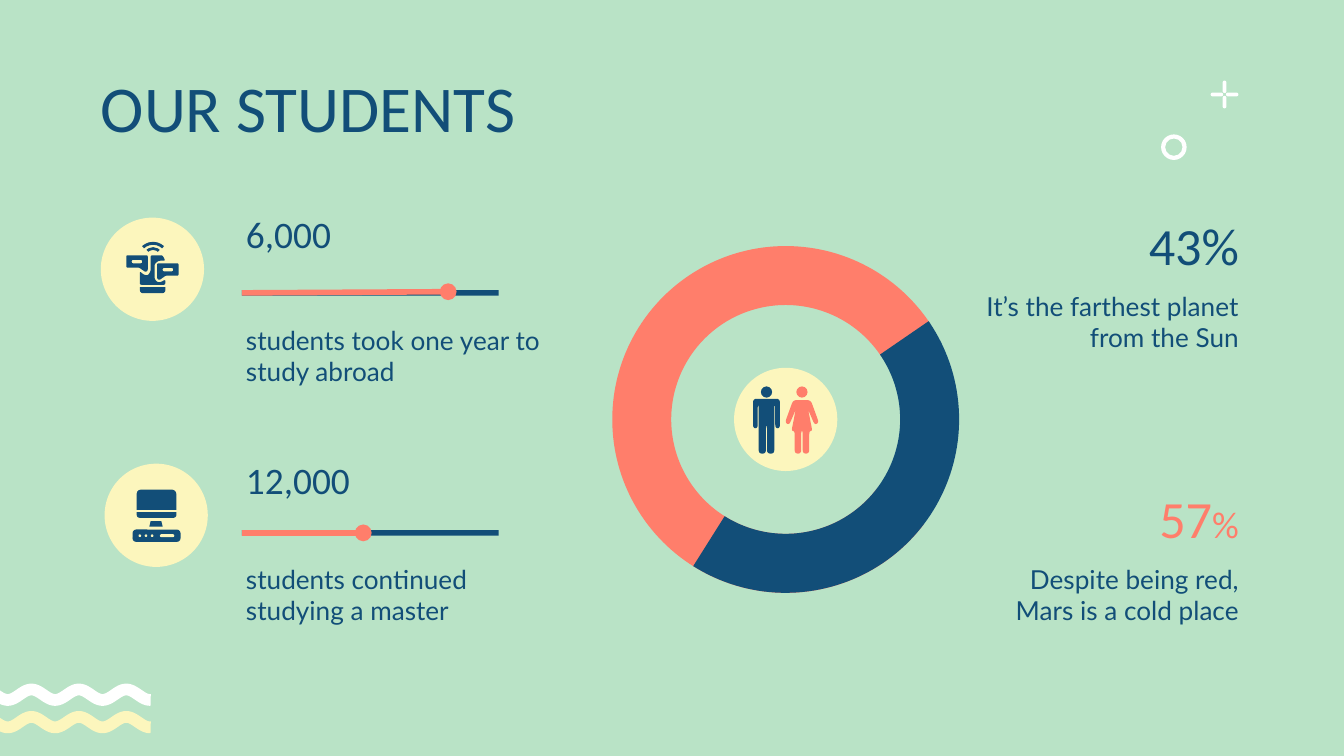
from math import pi, sin

from lxml import etree
from pptx import Presentation
from pptx.dml.color import RGBColor
from pptx.enum.shapes import MSO_CONNECTOR, MSO_SHAPE
from pptx.enum.text import PP_ALIGN
from pptx.oxml.ns import qn
from pptx.util import Pt

ARC, DONUT, OVAL = MSO_SHAPE.BLOCK_ARC, MSO_SHAPE.DONUT, MSO_SHAPE.OVAL
RECT, ROUNDED, TAB = MSO_SHAPE.RECTANGLE, MSO_SHAPE.ROUNDED_RECTANGLE, MSO_SHAPE.ROUND_2_SAME_RECTANGLE
TRAPEZOID = MSO_SHAPE.TRAPEZOID
STRAIGHT = MSO_CONNECTOR.STRAIGHT
LEFT, RIGHT = PP_ALIGN.LEFT, PP_ALIGN.RIGHT

COLORS = {"mint": "B9E3C6", "navy": "124E78", "coral": "FF7E6B", "cream": "FCF6BD", "white": "FFFFFF"}
HEADING, BODY = "Calibri", "Lato"
BADGE = 55.3


def rgb(name):
    """Return the named colour."""
    return RGBColor.from_string(COLORS[name])


def paint(shape, color):
    """Fill a shape flat, without line or shadow."""
    shape.shadow.inherit = False
    shape.fill.solid()
    shape.fill.fore_color.rgb = rgb(color)
    shape.line.fill.background()


def add_part(slide, kind, left, top, width, height, color, adjust=(), turn=0):
    """Add a flat preset shape."""
    part = slide.shapes.add_shape(kind, Pt(left), Pt(top), Pt(width), Pt(height))
    for index, value in enumerate(adjust):
        part.adjustments[index] = value
    part.rotation = turn
    paint(part, color)


def add_arc(slide, left, top, size, start, end, thickness, color, turn=0):
    """Add a ring section between two angles in degrees."""
    add_part(slide, ARC, left, top, size, size, color, (start * 0.6, end * 0.6, thickness), turn)


def soften(corners, radius):
    """Round the corners of a polygon."""
    points = []
    for i, (x, y) in enumerate(corners):
        ends = []
        for nx, ny in (corners[i - 1], corners[(i + 1) % len(corners)]):
            length = ((nx - x) ** 2 + (ny - y) ** 2) ** 0.5
            share = min(radius / length, 0.5)
            ends.append((x + (nx - x) * share, y + (ny - y) * share))
        (ax, ay), (bx, by) = ends
        for t in (0, 0.25, 0.5, 0.75, 1):
            points.append(tuple((1 - t) ** 2 * a + 2 * t * (1 - t) * c + t * t * b
                                for a, c, b in ((ax, x, bx), (ay, y, by))))
    return points


def add_outline(slide, left, top, contours, color, radius):
    """Add one filled outline made of rounded contours."""
    placed = [[(Pt(left + x), Pt(top + y)) for x, y in soften(c, radius)] for c in contours]
    builder = slide.shapes.build_freeform(*placed[0][0])
    builder.add_line_segments(placed[0][1:], close=True)
    for hole in placed[1:]:
        builder.move_to(*hole[0])
        builder.add_line_segments(hole[1:], close=True)
    paint(builder.convert_to_shape(), color)


def add_text(slide, left, top, width, height, runs, font, color="navy", align=LEFT):
    """Add a paragraph from (text, size) runs."""
    frame = slide.shapes.add_textbox(Pt(left), Pt(top), Pt(width), Pt(height)).text_frame
    frame.word_wrap = True
    frame.margin_left = frame.margin_right = frame.margin_top = frame.margin_bottom = 0
    paragraph = frame.paragraphs[0]
    paragraph.alignment = align
    paragraph.font.name = font
    paragraph.font.color.rgb = rgb(color)
    paragraph.font.size = Pt(runs[0][1])
    for words, size in runs:
        run = paragraph.add_run()
        run.text = words
        if size != runs[0][1]:
            run.font.size = Pt(size)


def add_sparkles(slide, left, top):
    """Draw the ring and the plus sign in the corner."""
    add_part(slide, DONUT, left, top + 28.8, 13.7, 13.7, "white", (0.16,))
    for near in (0, 8.2):
        add_part(slide, ROUNDED, left + 33, top + near, 2, 6.7, "white", (0.5,))
        add_part(slide, ROUNDED, left + 26.6 + near, top + 6.4, 6.7, 2, "white", (0.5,))


def add_wave(slide, left, middle, width, color):
    """Draw a thick wavy line."""
    period, height, steps = 25.4, 2.8, 120
    points = [(Pt(left + width * i / steps), Pt(middle - height * sin(2 * pi * width * i / steps / period)))
              for i in range(steps + 1)]
    builder = slide.shapes.build_freeform(*points[0])
    builder.add_line_segments(points[1:], close=False)
    wave = builder.convert_to_shape()
    wave.shadow.inherit = False
    wave.fill.background()
    wave.line.color.rgb = rgb(color)
    wave.line.width = Pt(6.28)


def add_slider(slide, left, top, reached, rise):
    """Draw a track with its reached part ending in a dot."""
    add_part(slide, RECT, left, top, 137.5, 2.9, "navy")
    y = top + 1.4
    progress = slide.shapes.add_connector(STRAIGHT, Pt(left), Pt(y), Pt(left + reached), Pt(y - rise))
    progress.line.color.rgb = rgb("coral")
    progress.line.width = Pt(3)
    etree.SubElement(progress.line._get_or_add_ln(), qn("a:tailEnd"), type="oval")
    etree.SubElement(progress._element.spPr, qn("a:effectLst"))


def add_phone_icon(slide, left, top):
    """Draw a phone with signal arcs and two speech bubbles."""
    add_arc(slide, left + 19.4, top + 13, 17.3, 227, 313, 0.09, "navy")
    add_arc(slide, left + 23, top + 15.8, 10.1, 225, 315, 0.15, "navy")
    add_part(slide, TAB, left + 20.9, top + 37.2, 13.7, 3.3, "navy", (0.5, 0), 180)
    screen = [(5.8, 0), (5.8, 8.6), (4.3, 10.8), (2.2, 10.4), (0, 8.6), (0, 15.8), (13.7, 15.8), (13.7, 13),
              (11.2, 14.4), (9.4, 14.4), (7.9, 12.6), (7.9, 4.7), (10, 2.9), (13.7, 2.9), (12.2, 0)]
    add_outline(slide, left + 20.9, top + 20.2, [screen], "navy", 1)
    bubble = [(0, 0), (0, 6.6), (6.9, 6.6), (10.3, 9), (11.5, 8.2), (11.5, 0)]
    slot = [(2.9, 2.5), (8.5, 2.5), (8.5, 4.3), (2.9, 4.3)]
    add_outline(slide, left + 13.7, top + 20.2, [bubble, slot], "navy", 0.8)
    mirrored = [[(11.5 - x, y) for x, y in contour] for contour in (bubble, slot)]
    add_outline(slide, left + 30.2, top + 24.5, mirrored, "navy", 0.8)


def add_computer_icon(slide, left, top):
    """Draw a monitor on a stand above its base unit."""
    add_part(slide, TAB, left + 17.2, top + 13.9, 21.3, 10.8, "navy", (0.22, 0))
    add_part(slide, TAB, left + 17.2, top + 25.9, 21.3, 3.1, "navy", (0.5, 0), 180)
    add_part(slide, TRAPEZOID, left + 24, top + 30.8, 7.2, 3, "navy", (0.25,))
    add_part(slide, ROUNDED, left + 15, top + 35.3, 25.7, 6.6, "navy", (0.3,))
    for hole in range(3):
        add_part(slide, OVAL, left + 18.2 + 3.3 * hole, top + 37.9, 1.4, 1.4, "cream")
    add_part(slide, ROUNDED, left + 29.7, top + 37.8, 7.7, 1.6, "cream", (0.5,))


def add_people_icon(slide, left, top):
    """Draw a man and a woman side by side."""
    man = [(7.2, 16.6), (7.2, 32.4), (4.7, 32.4), (4.7, 20.2), (4.2, 20.2), (4.2, 46), (0.3, 46), (0.3, 31)]
    woman = [(4.7, 17.3), (9.1, 29.4), (6.8, 30.6), (3.3, 22.3), (5.6, 33.9), (3.9, 33.9), (3.9, 46),
             (0.4, 46), (0.4, 33.9)]
    for half, center, color in ((woman, 36.4, "coral"), (man, 17.4, "navy")):
        body = half + [(-x, y) for x, y in reversed(half)]
        add_outline(slide, left + center, top, [body], color, 2)
        add_part(slide, OVAL, left + center - 3, top + 10, 6, 6, color)


def add_fact(slide, left, top, badge, icon, number, words, track, reached, rise, words_top):
    """Place a badge, a number, a slider and a caption."""
    x, y = left + badge[0], top + badge[1]
    add_part(slide, OVAL, x, y, BADGE, BADGE, "cream")
    icon(slide, x, y)
    add_text(slide, left + 77.8, top, 144, 28.8, [(number, 20)], HEADING)
    add_slider(slide, left + 75.6, top + track, reached, rise)
    add_text(slide, left + 77.8, top + words_top, 165.6, 39.6, [(words, 14)], BODY)


def add_ring(slide, left, top, size):
    """Draw the two-part ring around the people badge."""
    inset = (size - BADGE) / 2
    add_part(slide, OVAL, left + inset, top + inset, BADGE, BADGE, "cream")
    add_people_icon(slide, left + inset, top + inset)
    add_arc(slide, left, top, size, 37.2, 326.25, 0.17, "coral")
    add_arc(slide, left, top, size, 288.4, 85.1, 0.17, "navy", 37.1)


def add_share(slide, left, top, runs, color, words):
    """Place a right-aligned percentage and its caption."""
    add_text(slide, left, top, 137.5, 28.8, runs, HEADING, color, RIGHT)
    add_text(slide, left, top + 41, 137.5, 39.6, [(words, 14)], BODY, align=RIGHT)


def main():
    """Build and save the slide."""
    deck = Presentation()
    deck.slide_width, deck.slide_height = Pt(720), Pt(405)
    slide = deck.slides.add_slide(deck.slide_layouts[6])
    slide.background.fill.solid()
    slide.background.fill.fore_color.rgb = rgb("mint")
    add_sparkles(slide, 622, 43.2)
    for middle, color in ((372.2, "white"), (386.9, "cream")):
        add_wave(slide, -40.3, middle, 121, color)
    add_text(slide, 54, 36, 610, 50.4, [("OUR STUDENTS", 35)], HEADING)
    add_fact(slide, 54, 113, (0, 3.6), add_phone_icon, "6,000",
             "students took one year to study abroad", 42.5, 110.5, 0.6, 60.5)
    add_fact(slide, 54, 244.8, (2, 3.6), add_computer_icon, "12,000",
             "students continued studying a master", 39.3, 65, 0, 56.9)
    add_ring(slide, 328, 131.8, 185.8)
    add_share(slide, 526.2, 114.5, [("43%", 28)], "navy", "It’s the farthest planet from the Sun")
    add_share(slide, 526.2, 260.7, [("57", 28), ("%", 20)], "coral", "Despite being red, Mars is a cold place")
    deck.save("out.pptx")


if __name__ == "__main__":
    main()
